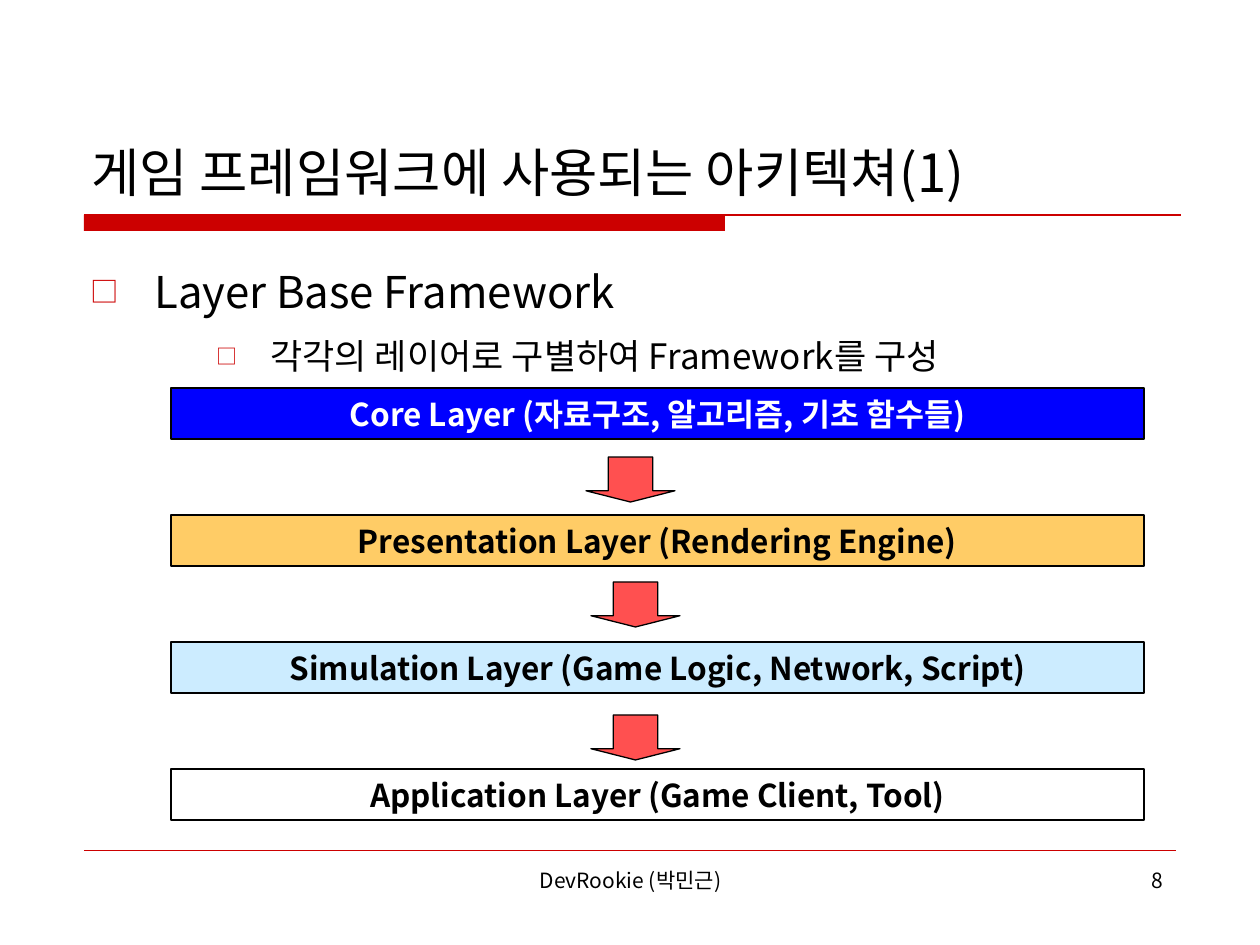
from pptx import Presentation
from pptx import util as u
from pptx.dml.color import RGBColor
from pptx.enum import shapes, text
from pptx.oxml.ns import qn
from lxml import etree

SCALE = 914400 / 126
FONT = "Noto Sans CJK KR"
COLORS = {
    "accent": "CC0000", "arrow": "FF5050", "black": "000000", "white": "FFFFFF",
    "core": "0000FF", "presentation": "FFCC66", "simulation": "CCECFF",
}


def px(*lengths):
    return [u.Emu(round(length * SCALE)) for length in lengths]


def write(paragraph, wording, size, color="black", **formats):
    paragraph.text = wording
    values = {"name": FONT, "size": u.Pt(size), **formats}
    for name, value in values.items():
        setattr(paragraph.font, name, value)
    paragraph.font.color.rgb = RGBColor.from_string(COLORS[color])


presentation = Presentation()
presentation.slide_width, presentation.slide_height = px(1260, 945)
slide = presentation.slides.add_slide(presentation.slide_layouts[6])

bar = slide.shapes.add_shape(shapes.MSO_SHAPE.RECTANGLE, *px(84, 215, 641, 16))
bar.shadow.inherit = False
bar.fill.solid()
bar.fill.fore_color.rgb = RGBColor.from_string(COLORS["accent"])
bar.line.fill.background()

for left, right, top, width in [(84, 1181, 215, 0.75), (84, 1176, 850, 0.25)]:
    rule = slide.shapes.add_connector(
        shapes.MSO_CONNECTOR.STRAIGHT, *px(left, top, right, top))
    rule.line.color.rgb = RGBColor.from_string(COLORS["accent"])
    rule.line.width = u.Pt(width)
    etree.SubElement(rule._element.spPr, qn("a:effectLst"))

labels = [
    ("게임 프레임워크에 사용되는 아키텍쳐(1)", 30, (79, 42, 1103, 167),
     text.MSO_ANCHOR.BOTTOM, text.PP_ALIGN.LEFT),
    ("DevRookie (박민근)", 12, (431, 861, 399, 66),
     text.MSO_ANCHOR.TOP, text.PP_ALIGN.CENTER),
    ("8", 12, (903, 861, 273, 66), text.MSO_ANCHOR.TOP, text.PP_ALIGN.RIGHT),
]
for wording, size, box, anchor, alignment in labels:
    frame = slide.shapes.add_textbox(*px(*box)).text_frame
    frame.word_wrap = True
    frame.vertical_anchor = anchor
    frame.paragraphs[0].alignment = alignment
    write(frame.paragraphs[0], wording, size)

body = slide.shapes.add_textbox(*px(78, 242, 1103, 146)).text_frame
body.word_wrap = True
body.vertical_anchor = text.MSO_ANCHOR.MIDDLE
bullets = [
    ("Layer Base Framework", 25, 0, 64, 64, 65, 0),
    ("각각의 레이어로 구별하여 Framework를 구성", 20, 2, 180, 54, 60, 5),
]
for index, (wording, size, level, margin, hanging, percent, before) in enumerate(bullets):
    paragraph = body.add_paragraph() if index else body.paragraphs[0]
    paragraph.level = level
    paragraph.line_spacing = 1.2
    paragraph.space_before = u.Pt(before)
    properties = paragraph._p.get_or_add_pPr()
    left, indent = px(margin, -hanging)
    properties.set("marL", str(left))
    properties.set("indent", str(indent))
    bullet_color = etree.SubElement(properties, qn("a:buClr"))
    etree.SubElement(bullet_color, qn("a:srgbClr"), val=COLORS["accent"])
    etree.SubElement(properties, qn("a:buSzPct"), val=str(percent * 1000))
    etree.SubElement(properties, qn("a:buFont"), typeface=FONT)
    etree.SubElement(properties, qn("a:buChar"), char="□")
    write(paragraph, wording, size)

layers = [
    ("Core Layer (자료구조, 알고리즘, 기초 함수들)", "core", "white"),
    ("Presentation Layer (Rendering Engine)", "presentation", "black"),
    ("Simulation Layer (Game Logic, Network, Script)", "simulation", "black"),
    ("Application Layer (Game Client, Tool)", "white", "black"),
]
blocks = [
    (shapes.MSO_SHAPE.RECTANGLE, (171, 388 + 127 * index, 973, 51), *layer)
    for index, layer in enumerate(layers)
]
blocks += [
    (shapes.MSO_SHAPE.DOWN_ARROW, (left, top, 89, 45), "", "arrow", "black")
    for left, top in [(586, 457), (591, 582), (591, 715)]
]
for kind, box, wording, fill, color in blocks:
    shape = slide.shapes.add_shape(kind, *px(*box))
    shape.shadow.inherit = False
    shape.fill.solid()
    shape.fill.fore_color.rgb = RGBColor.from_string(COLORS[fill])
    shape.line.color.rgb = RGBColor.from_string(COLORS["black"])
    shape.line.width = u.Pt(0.75)
    if wording:
        shape.text_frame.vertical_anchor = text.MSO_ANCHOR.MIDDLE
        paragraph = shape.text_frame.paragraphs[0]
        paragraph.alignment = text.PP_ALIGN.CENTER
        write(paragraph, wording, 18, color, bold=True)
    else:
        shape.adjustments[0], shape.adjustments[1] = 0.5, 0.25

presentation.save("out.pptx")
